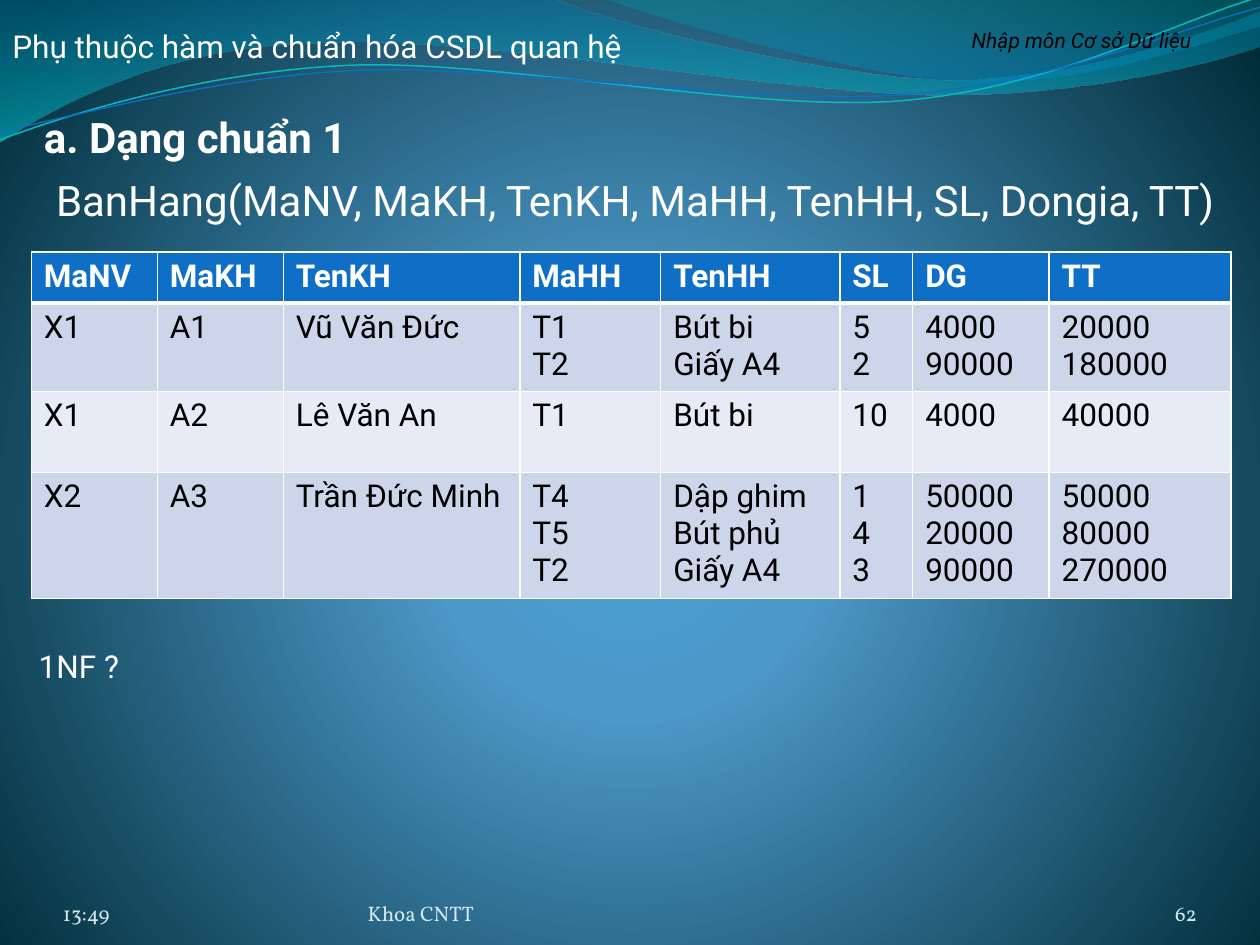
import math

from lxml import etree
from pptx import Presentation
from pptx.dml.color import RGBColor
from pptx.enum import text
from pptx.oxml import ns
from pptx.util import Cm, Pt

COLORS = {
    "white": "FFFFFF", "black": "000000", "footer": "D1EAEE",
    "header": "0F6FC6", "odd": "CCD5EA", "even": "E7EBF5",
    "teal": "0AB8BF", "blue": "0F6FC6",
}
SKY = [(0, "4AA0D6", 100), (25, "4C98C7", 100), (100, "002C38", 100)]
WAVES = [
    ([(0, 0), (11.18, -0.03), (12.09, 0.43, 16.87, 1.6, 19.25, 1.6),
      (21.67, 1.6, 24.33, 0.66, 25.4, 0.23), (25.43, 0.91),
      (24.97, 1.12, 22.1, 1.93, 18.95, 1.91), (15.8, 1.91, 9.7, 0.71, 6.53, 0.86),
      (3.28, 0.91, 1.17, 2.11, -0.03, 2.87), (0, 0)],
     [(0, "0074A1", 45), (100, "00C6CF", 55)]),
    ([(12.17, -0.03), (12.93, 0.28, 17.32, 1.57, 19.53, 1.65),
      (21.74, 1.75, 24.41, 0.81, 25.4, 0.53), (25.4, 0), (12.17, -0.03)],
     [(0, "00A1A9", 30), (80, "008BBF", 45)]),
]
STRAND_TILT = -2.7
STRANDS = [
    ([(0, 2.82), (1.22, 2.36, 4.01, 1.45, 7.04, 1.32),
      (10.03, 1.19, 15.06, 2.26, 18.11, 2.03), (21.16, 1.8, 23.83, 0.38, 25.35, -0.05)],
     (12.67, 1.46), "teal", 0.85),
    ([(0, 2.64), (1.19, 2.44, 4.17, 1.55, 7.19, 1.42),
      (10.24, 1.3, 15.16, 2.13, 18.21, 1.91), (21.23, 1.7, 23.9, 0.53, 25.4, 0.15)],
     (12.69, 1.5), "blue", 0.75),
]
COLUMN_WIDTHS = [2.54, 2.54, 4.77, 2.84, 3.61, 1.47, 2.75, 3.67]
ROW_HEIGHTS = [1.03, 1.78, 1.63, 2.54]
SALES = [
    ["MaNV", "MaKH", "TenKH", "MaHH", "TenHH", "SL", "DG", "TT"],
    ["X1", "A1", "Vũ Văn Đức", "T1\nT2", "Bút bi\nGiấy A4", "5\n2",
     "4000\n90000", "20000\n180000"],
    ["X1", "A2", "Lê Văn An", "T1", "Bút bi", "10", "4000", "40000"],
    ["X2", "A3", "Trần Đức Minh", "T4\nT5\nT2", "Dập ghim\nBút phủ\nGiấy A4",
     "1\n4\n3", "50000\n20000\n90000", "50000\n80000\n270000"],
]
LEFT, CENTER, RIGHT = text.PP_ALIGN.LEFT, text.PP_ALIGN.CENTER, text.PP_ALIGN.RIGHT


def rgb(name):
    return RGBColor.from_string(COLORS[name])


def add_child(parent, tag, **attributes):
    child = etree.SubElement(parent, ns.qn(tag))
    for key, value in attributes.items():
        child.set(key, str(value))
    return child


def apply_gradient(fill, owner, stops, focus=None):
    fill.gradient()
    gradient = owner.find(".//" + ns.qn("a:gradFill"))
    for child in list(gradient):
        gradient.remove(child)
    stop_list = add_child(gradient, "a:gsLst")
    for position, color, alpha in stops:
        stop = add_child(stop_list, "a:gs", pos=position * 1000)
        tint = add_child(stop, "a:srgbClr", val=color)
        if alpha < 100:
            add_child(tint, "a:alpha", val=alpha * 1000)
    if focus:
        circle = add_child(gradient, "a:path", path="circle")
        add_child(circle, "a:fillToRect", **focus)
    else:
        add_child(gradient, "a:lin", ang=5400000, scaled=0)


def turn(outline, center, degrees):
    cos, sin = math.cos(math.radians(degrees)), math.sin(math.radians(degrees))
    turned = []
    for part in outline:
        offsets = [(x - center[0], y - center[1]) for x, y in zip(part[::2], part[1::2])]
        turned.append(tuple(value for x, y in offsets for value in
                            (center[0] + x * cos - y * sin, center[1] + x * sin + y * cos)))
    return turned


def add_curve(page, outline, closed):
    points = [(round(x * 100), round(y * 100)) for part in outline
              for x, y in zip(part[::2], part[1::2])]
    builder = page.shapes.build_freeform(*points[0], scale=Cm(0.01))
    builder.add_line_segments(points[1:], close=closed)
    shape = builder.convert_to_shape()
    shape.shadow.inherit = False
    segments = iter(shape.element.findall(".//" + ns.qn("a:lnTo")))
    for part in outline[1:]:
        segment = next(segments)
        if len(part) == 6:
            curve = etree.Element(ns.qn("a:cubicBezTo"))
            segment.addprevious(curve)
            for corner in (segment, next(segments), next(segments)):
                curve.append(corner[0])
                corner.getparent().remove(corner)
    return shape


def add_wave(page, outline, stops):
    shape = add_curve(page, outline, True)
    apply_gradient(shape.fill, shape.element, stops)
    shape.line.fill.background()


def add_strand(page, outline, center, color, width):
    shape = add_curve(page, turn(outline, center, -STRAND_TILT), False)
    shape.rotation = STRAND_TILT
    shape.fill.background()
    shape.line.color.rgb = rgb(color)
    shape.line.width = Pt(width)


def write(frame, words, size, color="white", align=LEFT, font="Roboto",
          bold=False, italic=False):
    frame.text = words
    for para in frame.paragraphs:
        para.alignment = align
        para.font.name = font
        para.font.size = Pt(size)
        para.font.bold = bold
        para.font.italic = italic
        para.font.color.rgb = rgb(color)


def add_label(page, place, words, size, wrap=True, **style):
    box = page.shapes.add_textbox(*map(Cm, place))
    box.text_frame.word_wrap = wrap
    write(box.text_frame, words, size, **style)
    return box


def add_footer(page, left, width, words, align=LEFT):
    box = add_label(page, (left, 17.65, width, 1.02), words, 12,
                    color="footer", align=align, font="Vollkorn")
    frame = box.text_frame
    frame.margin_left = frame.margin_right = frame.margin_top = frame.margin_bottom = 0
    frame.vertical_anchor = text.MSO_ANCHOR.BOTTOM


def place_title(page, words):
    title = page.shapes.title
    title.left, title.top, title.width, title.height = map(Cm, (0.63, 2.12, 23.29, 1.27))
    frame = title.text_frame
    frame.word_wrap = True
    frame.vertical_anchor = text.MSO_ANCHOR.TOP
    write(frame, words, 24, bold=True)
    title.element.getparent().append(title.element)


def style_cell(cell, words, row):
    cell.fill.solid()
    cell.fill.fore_color.rgb = rgb("header" if row == 0 else "odd" if row % 2 else "even")
    write(cell.text_frame, words, 18, color="black" if row else "white", bold=row == 0)
    properties = cell._tc.get_or_add_tcPr()
    thick = {0: "a:lnB", 1: "a:lnT"}.get(row)
    for index, side in enumerate(("a:lnL", "a:lnR", "a:lnT", "a:lnB")):
        border = add_child(properties, side, w=Pt(3 if side == thick else 1))
        add_child(add_child(border, "a:solidFill"), "a:srgbClr", val=COLORS["white"])
        properties.insert(index, border)


def add_sales_table(page):
    table = page.shapes.add_table(
        len(SALES), len(COLUMN_WIDTHS), Cm(0.63), Cm(5.08),
        Cm(sum(COLUMN_WIDTHS)), Cm(sum(ROW_HEIGHTS))).table
    for column, width in zip(table.columns, COLUMN_WIDTHS):
        column.width = Cm(width)
    for row, (height, entries) in enumerate(zip(ROW_HEIGHTS, SALES)):
        table.rows[row].height = Cm(height)
        for column, words in enumerate(entries):
            style_cell(table.cell(row, column), words, row)


def main():
    deck = Presentation()
    deck.slide_width, deck.slide_height = Cm(25.4), Cm(19.05)
    page = deck.slides.add_slide(deck.slide_layouts[5])
    apply_gradient(page.background.fill, page.element, SKY,
                   {"l": 10000, "t": 110000, "r": 10000, "b": 100000})
    for wave in WAVES:
        add_wave(page, *wave)
    for strand in STRANDS:
        add_strand(page, *strand)
    add_label(page, (18.21, 0.43, 7.19, 0.76), "Nhập môn Cơ sở Dữ liệu", 12,
              color="black", align=CENTER, italic=True)
    add_label(page, (0, 0.43, 12.98, 1.02), "Phụ thuộc hàm và chuẩn hóa CSDL quan hệ",
              18, wrap=False)
    add_footer(page, 1.27, 5.92, "13:49")
    add_footer(page, 7.41, 9.32, "Khoa CNTT")
    add_footer(page, 22.02, 2.11, "62", RIGHT)
    place_title(page, "a. Dạng chuẩn 1")
    add_sales_table(page)
    add_label(page, (0.88, 3.4, 24.21, 1.27),
              "BanHang(MaNV, MaKH, TenKH, MaHH, TenHH, SL, Dongia, TT)", 24, wrap=False)
    add_label(page, (0, 12.91, 3.18, 1.02), "1NF ?", 18, align=CENTER)
    deck.save("out.pptx")


if __name__ == "__main__":
    main()
